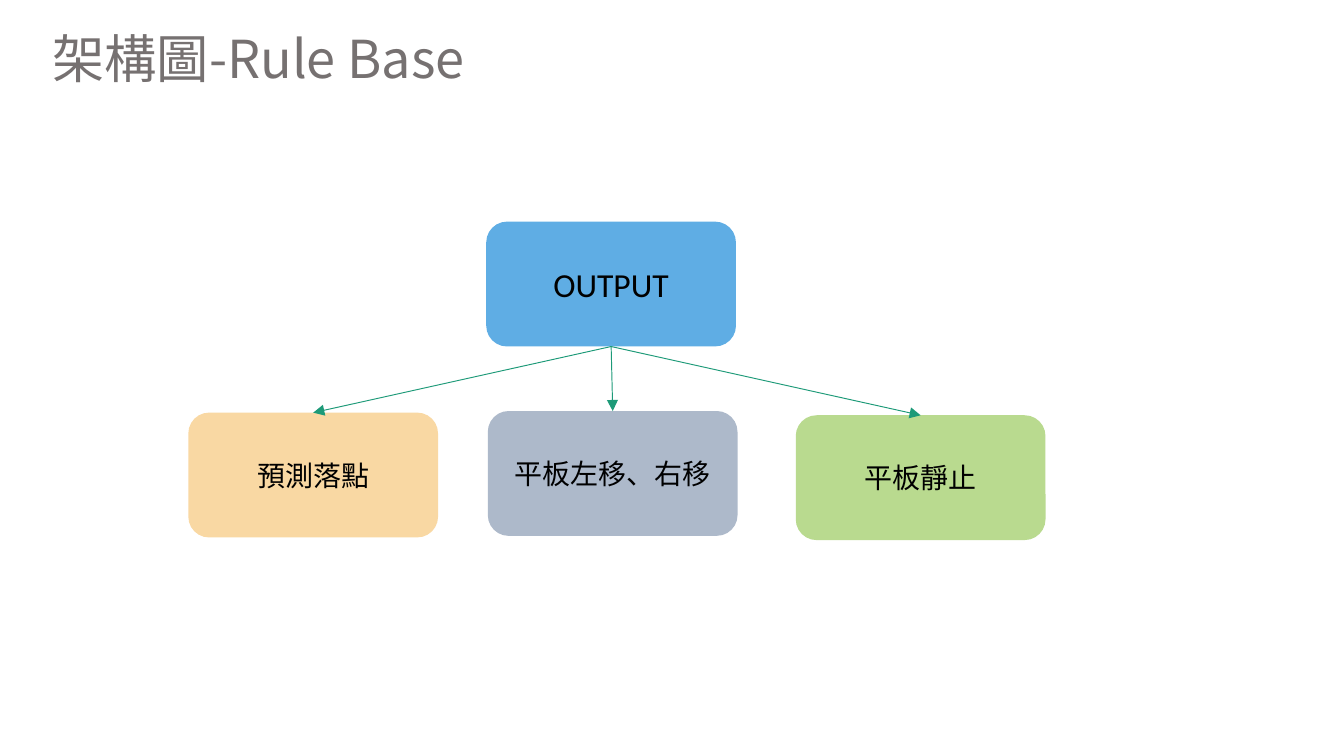
from pptx import Presentation
from pptx.dml.color import RGBColor
from pptx.enum.shapes import MSO_CONNECTOR, MSO_SHAPE
from pptx.enum.text import MSO_ANCHOR, PP_ALIGN
from pptx.oxml.ns import qn
from pptx.util import Cm, Pt
from lxml.etree import SubElement

HUES = {
    "title": "767171",
    "text": "000000",
    "line": "1D9A78",
    "root": "5FADE4",
    "drop": "F9D8A3",
    "move": "ADB9CA",
    "stay": "B9DA8F",
}
NOTO = "Noto Sans CJK SC"
BOX = (Cm(4.72), Cm(2.36))
LEAVES = [
    ("預測落點", "drop", 3.56, 7.8),
    ("平板左移、右移", "move", 9.22, 7.77),
    ("平板靜止", "stay", 15.04, 7.85),
]


def color(name):
    return RGBColor.from_string(HUES[name])


def apply(item, values):
    for name, value in values.items():
        setattr(item, name, value)


def write(frame, text, size, face, hue, align):
    """Fill a frame with one line, its Latin and East Asian fonts set."""
    frame.text = text
    apply(frame, {"word_wrap": True, "vertical_anchor": MSO_ANCHOR.MIDDLE})
    line = frame.paragraphs[0]
    line.alignment = align
    run = line.runs[0]
    apply(run.font, {"size": Pt(size), "name": face})
    run.font.color.rgb = color(hue)
    SubElement(run.font._element, qn("a:ea")).set("typeface", NOTO)


def add_title(slide, text):
    title = slide.shapes.title
    apply(title, {"left": Cm(0.74), "top": Cm(0.36),
                  "width": Cm(15.06), "height": Cm(1.45)})
    write(title.text_frame, text, 28, NOTO, "title", PP_ALIGN.LEFT)


def add_box(slide, text, hue, left, top, size=15):
    box = slide.shapes.add_shape(
        MSO_SHAPE.ROUNDED_RECTANGLE, Cm(left), Cm(top), *BOX)
    box.shadow.inherit = False
    box.fill.solid()
    box.fill.fore_color.rgb = color(hue)
    box.line.fill.background()
    write(box.text_frame, text, size, "Calibri", "text", PP_ALIGN.CENTER)
    return box


def add_arrow(slide, start, end):
    """Join the bottom of start to the top of end."""
    arrow = slide.shapes.add_connector(MSO_CONNECTOR.STRAIGHT, 0, 0, 0, 0)
    arrow.begin_connect(start, 2)
    arrow.end_connect(end, 0)
    arrow.line.width = Pt(0.5)
    arrow.line.color.rgb = color("line")
    SubElement(arrow.line._get_or_add_ln(), qn("a:tailEnd")).set("type", "triangle")
    SubElement(arrow._element.spPr, qn("a:effectLst"))


def main():
    deck = Presentation()
    apply(deck, {"slide_width": Cm(25.4), "slide_height": Cm(14.29)})
    slide = deck.slides.add_slide(deck.slide_layouts.get_by_name("Title Only"))
    add_title(slide, "架構圖-Rule Base")
    root = add_box(slide, "OUTPUT", "root", 9.19, 4.19, size=18)
    for leaf in LEAVES:
        add_arrow(slide, root, add_box(slide, *leaf))
    deck.save("out.pptx")


if __name__ == "__main__":
    main()
